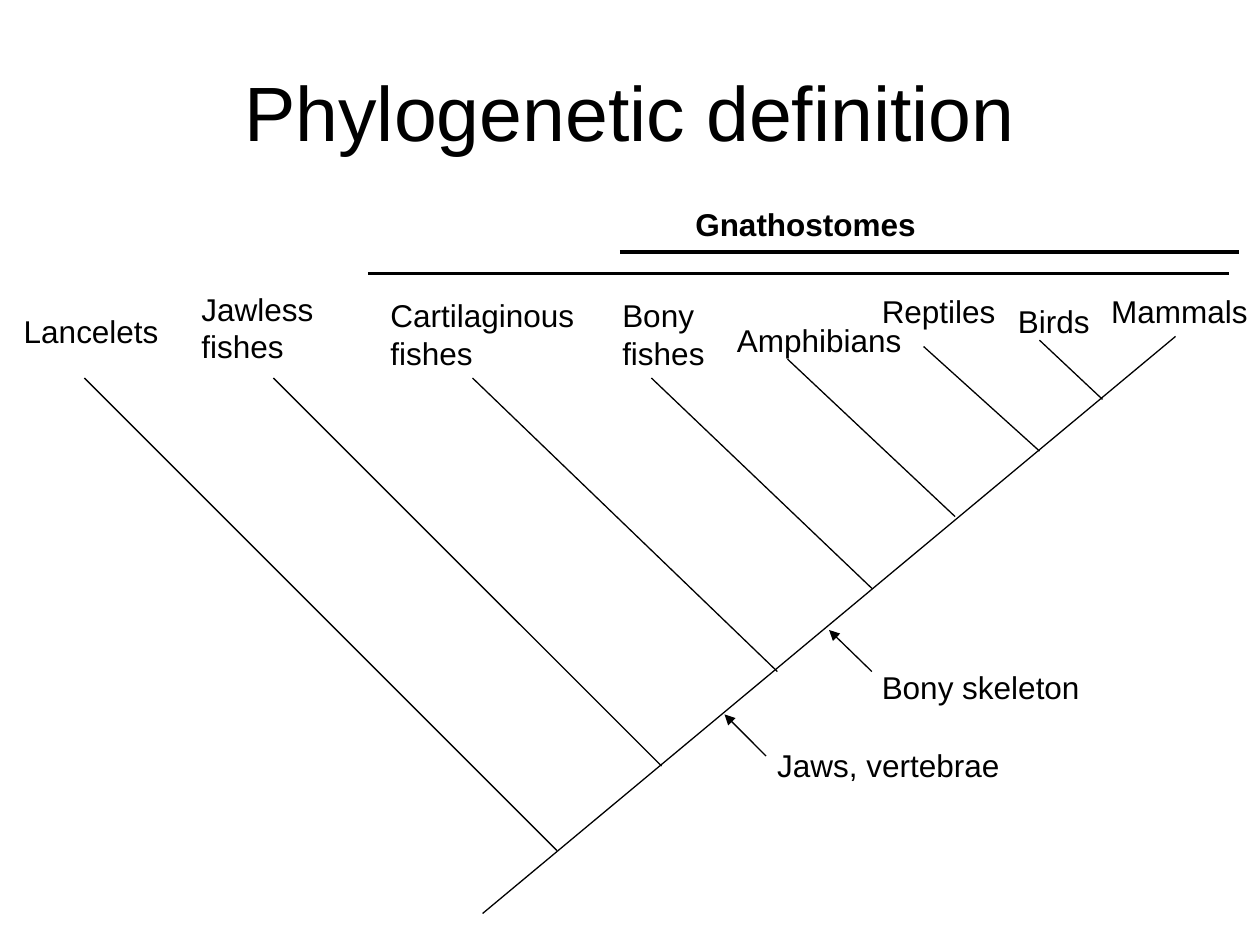
from pptx import Presentation
from pptx.dml.color import RGBColor
from pptx.enum.shapes import MSO_CONNECTOR
from pptx.enum.text import MSO_ANCHOR, MSO_AUTO_SIZE, PP_ALIGN
from pptx.oxml.ns import qn
from pptx.util import Inches, Pt
from lxml.etree import SubElement

BLACK = "000000"


def style_text(text_frame, size, bold=False):
    for paragraph in text_frame.paragraphs:
        for run in paragraph.runs:
            run.font.name = "Arial"
            run.font.size = Pt(size)
            run.font.bold = bold
            run.font.color.rgb = RGBColor.from_string(BLACK)


def add_line(start, end, width=0.75, arrow=False):
    points = [Inches(value) for value in (*start, *end)]
    connector = slide.shapes.add_connector(MSO_CONNECTOR.STRAIGHT, *points)
    connector.line.color.rgb = RGBColor.from_string(BLACK)
    connector.line.width = Pt(width)
    if arrow:
        SubElement(connector.line._get_or_add_ln(), qn("a:tailEnd"), type="triangle")
    SubElement(connector._element.spPr, qn("a:effectLst"))


presentation = Presentation()
presentation.slide_width = Inches(10)
presentation.slide_height = Inches(7.5)
slide = presentation.slides.add_slide(presentation.slide_layouts[5])

title = slide.shapes.title
title.left, title.top = Inches(0.5), Inches(0.25)
title.width, title.height = Inches(9), Inches(1.25)
title.text_frame.text = "Phylogenetic definition"
title.text_frame.vertical_anchor = MSO_ANCHOR.MIDDLE
title.text_frame.paragraphs[0].alignment = PP_ALIGN.CENTER
style_text(title.text_frame, 44)

trunk = ((9.33, 2.67), (3.83, 7.25))
branches = [
    ((0.67, 3), (4.42, 6.75)),
    ((2.17, 3), (5.25, 6.08)),
    ((3.75, 3), (6.17, 5.33)),
    ((5.17, 3), (6.92, 4.67)),
    ((6.25, 2.85), (7.58, 4.1)),
    ((7.33, 2.75), (8.25, 3.58)),
    ((8.25, 2.7), (8.75, 3.17)),
]
for start, end in [trunk, *branches]:
    add_line(start, end)

trait_arrows = [((6.08, 6), (5.75, 5.67)), ((6.92, 5.33), (6.58, 5))]
for start, end in trait_arrows:
    add_line(start, end, arrow=True)

group_bars = [((2.92, 2.17), (9.75, 2.17)), ((4.92, 2), (9.83, 2))]
for start, end in group_bars:
    add_line(start, end, width=2)

labels = [
    ("Lancelets", 0.09, 2.43, 1.27),
    ("Jawless\nfishes", 1.5, 2.25, 1.17),
    ("Cartilaginous\nfishes", 3, 2.3, 1.73),
    ("Bony\nfishes", 4.84, 2.3, 0.85),
    ("Amphibians", 5.75, 2.5, 1.53),
    ("Reptiles", 6.9, 2.27, 1.1),
    ("Birds", 7.98, 2.35, 0.77),
    ("Mammals", 8.72, 2.27, 1.28),
    ("Bony skeleton", 6.9, 5.25, 1.77),
    ("Jaws, vertebrae", 6.07, 5.87, 1.99),
    ("Gnathostomes", 5.42, 1.58, 1.95),
]
for text, left, top, width in labels:
    height = 0.7 if "\n" in text else 0.4
    label = slide.shapes.add_textbox(Inches(left), Inches(top), Inches(width), Inches(height))
    label.text_frame.text = text
    label.text_frame.word_wrap = text.startswith("Jawless")
    label.text_frame.auto_size = MSO_AUTO_SIZE.SHAPE_TO_FIT_TEXT
    style_text(label.text_frame, 18, bold=text == "Gnathostomes")

presentation.save("out.pptx")
